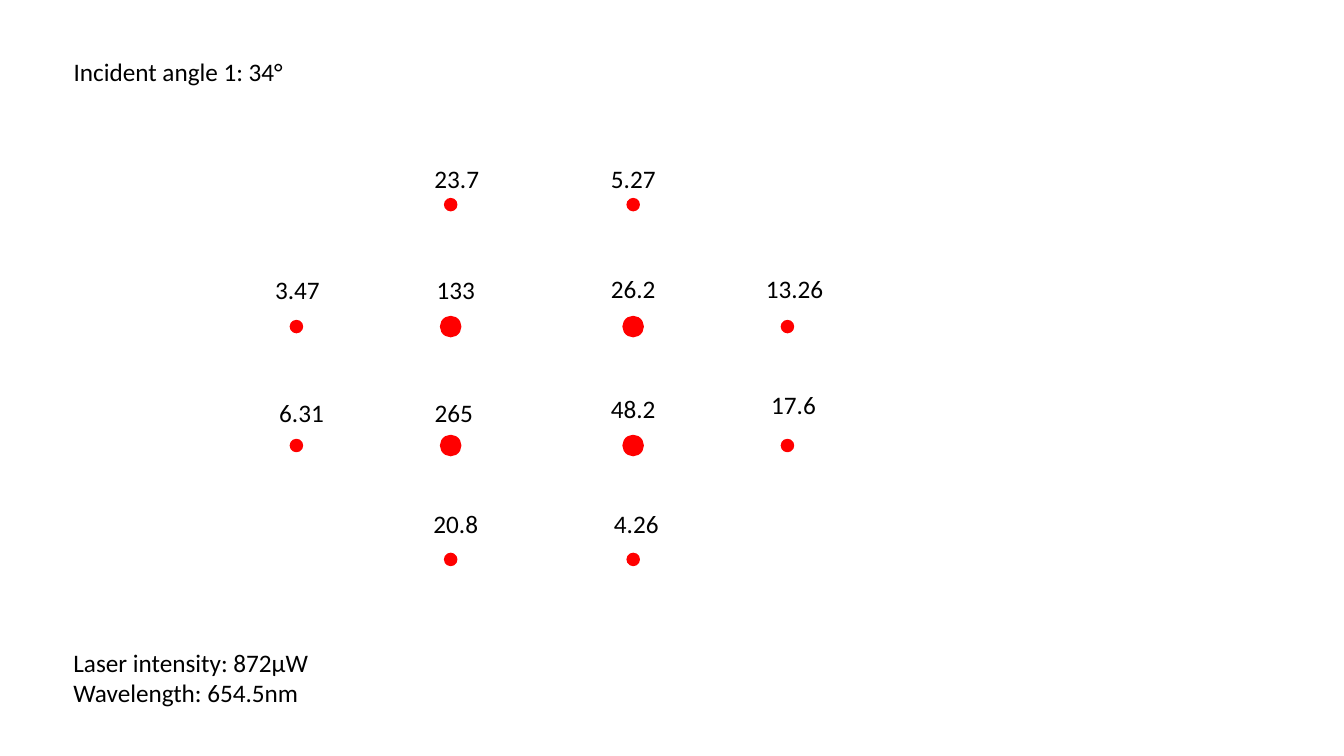
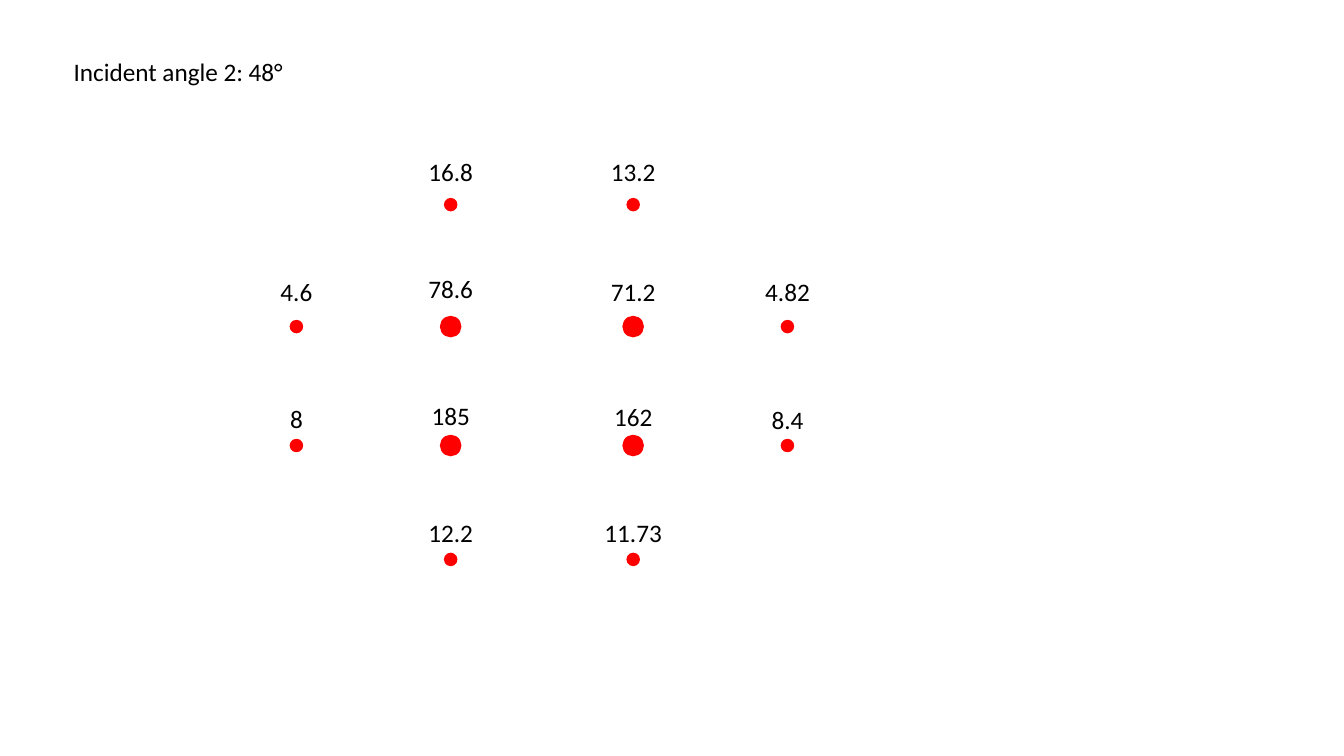
import pptx
import pptx.dml.color
import pptx.enum.shapes
import pptx.enum.text
import pptx.util

Inches = pptx.util.Inches
ALIGN = pptx.enum.text.PP_ALIGN
RED = pptx.dml.color.RGBColor(0xFF, 0x00, 0x00)
BLACK = pptx.dml.color.RGBColor(0x00, 0x00, 0x00)

FONT = "Calibri"
TITLE_BOX = (0.63, 0.51, 2.36, 0.4)
CONDITIONS_BOX = (0.63, 6.37, 2.56, 0.71)
PATTERN_BOX = (2.94, 2.03, 4.87, 3.52)
COLUMN_FRACTIONS = (0, 1.53 / 4.87, 3.34 / 4.87, 1)
ROW_FRACTIONS = (0, 1.21 / 3.52, 2.39 / 3.52, 1)
LARGE_DOT, SMALL_DOT = 0.2, 0.12
LABEL_HEIGHT = 0.4

# Each spot holds its reading, then the label's shift right of and rise above the dot.
ANGLE_1_SPOTS = {
    (0, 1): ("23.7", 0.06, 0.46), (0, 2): ("5.27", 0, 0.46),
    (1, 0): ("3.47", 0.01, 0.57), (1, 1): ("133", 0.05, 0.57),
    (1, 2): ("26.2", 0, 0.58), (1, 3): ("13.26", 0.07, 0.58),
    (2, 0): ("6.31", 0.05, 0.53), (2, 1): ("265", 0.03, 0.53),
    (2, 2): ("48.2", 0, 0.57), (2, 3): ("17.6", 0.06, 0.61),
    (3, 1): ("20.8", 0.05, 0.56), (3, 2): ("4.26", 0.03, 0.56),
}
ANGLE_2_SPOTS = {
    (0, 1): ("16.8", 0, 0.53), (0, 2): ("13.2", 0, 0.53),
    (1, 0): ("4.6", 0, 0.55), (1, 1): ("78.6", 0, 0.58),
    (1, 2): ("71.2", 0, 0.55), (1, 3): ("4.82", 0, 0.55),
    (2, 0): ("8", 0, 0.47), (2, 1): ("185", 0, 0.5),
    (2, 2): ("162", 0, 0.49), (2, 3): ("8.4", 0, 0.46),
    (3, 1): ("12.2", 0, 0.47), (3, 2): ("11.73", 0, 0.47),
}


def write_text(shape, text, size=18, color=BLACK, align=ALIGN.LEFT, wrap=True):
    """Fill a shape with text, one paragraph per line, in the shared style."""
    frame = shape.text_frame
    frame.text = text
    frame.word_wrap = wrap
    frame.auto_size = pptx.enum.text.MSO_AUTO_SIZE.NONE
    frame.vertical_anchor = pptx.enum.text.MSO_ANCHOR.TOP
    for paragraph in frame.paragraphs:
        paragraph.alignment = align
        paragraph.font.name = FONT
        paragraph.font.size = pptx.util.Pt(size)
        paragraph.font.color.rgb = color


def add_text(slide, box, text, **text_format):
    """Add a text box at the given box."""
    write_text(slide.shapes.add_textbox(*map(Inches, box)), text, **text_format)


def place_title(slide, box, text):
    """Move the title placeholder into the box and write the title."""
    title = slide.shapes.title
    title.left, title.top, title.width, title.height = map(Inches, box)
    write_text(title, text)


def add_dot(slide, center_x, center_y, diameter):
    """Draw a red dot around its centre."""
    left, top = center_x - diameter / 2, center_y - diameter / 2
    dot = slide.shapes.add_shape(
        pptx.enum.shapes.MSO_SHAPE.OVAL, *map(Inches, (left, top, diameter, diameter)))
    dot.shadow.inherit = False
    dot.fill.solid()
    dot.fill.fore_color.rgb = RED
    dot.line.color.rgb = RED
    dot.line.width = pptx.util.Pt(1)


def add_reading(slide, center_x, top, reading):
    """Write a reading centred on a vertical line, in a box fitted to its digits."""
    dots = reading.count(".")
    width = 0.2 + 0.13 * (len(reading) - dots) + 0.06 * dots
    box = (center_x - width / 2, top, width, LABEL_HEIGHT)
    add_text(slide, box, reading, align=ALIGN.CENTER, wrap=False)


def add_pattern(slide, box, spots):
    """Draw the diffraction spots and their readings on the grid of the box."""
    left, top, width, height = box
    for (row, column), (reading, shift, rise) in spots.items():
        center_x = left + width * COLUMN_FRACTIONS[column]
        center_y = top + height * ROW_FRACTIONS[row]
        inner = row in (1, 2) and column in (1, 2)
        add_dot(slide, center_x, center_y, LARGE_DOT if inner else SMALL_DOT)
        add_reading(slide, center_x + shift, center_y - rise, reading)


def add_angle_slide(presentation, title, spots, conditions=None):
    """Add a slide for one incident angle."""
    slide = presentation.slides.add_slide(presentation.slide_layouts[5])
    place_title(slide, TITLE_BOX, title)
    add_pattern(slide, PATTERN_BOX, spots)
    if conditions:
        add_text(slide, CONDITIONS_BOX, conditions)


presentation = pptx.Presentation()
presentation.slide_width = Inches(13.33)
presentation.slide_height = Inches(7.5)
add_angle_slide(presentation, "Incident angle 1: 34°", ANGLE_1_SPOTS,
                "Laser intensity: 872µW\nWavelength: 654.5nm")
add_angle_slide(presentation, "Incident angle 2: 48°", ANGLE_2_SPOTS)
presentation.save("out.pptx")
